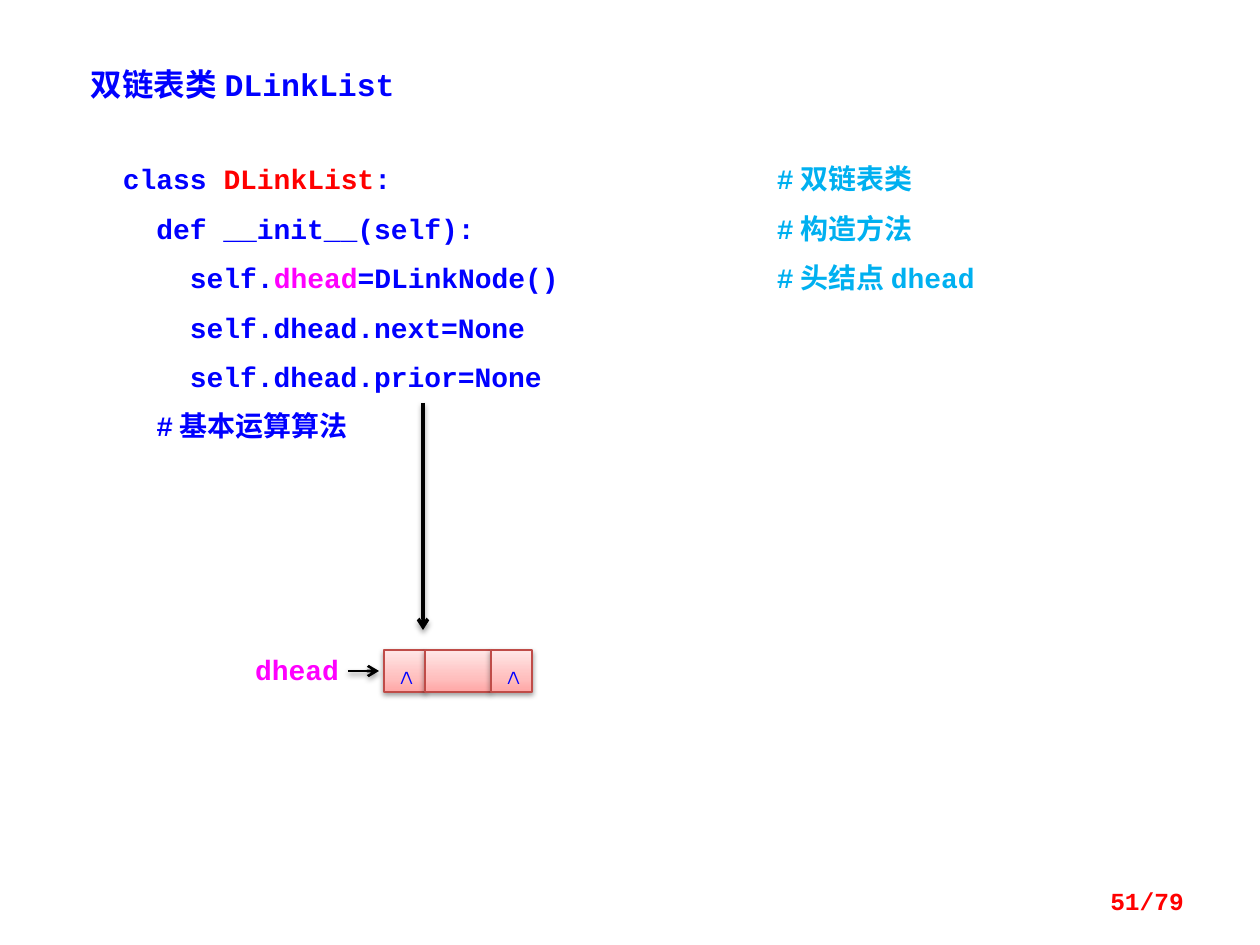
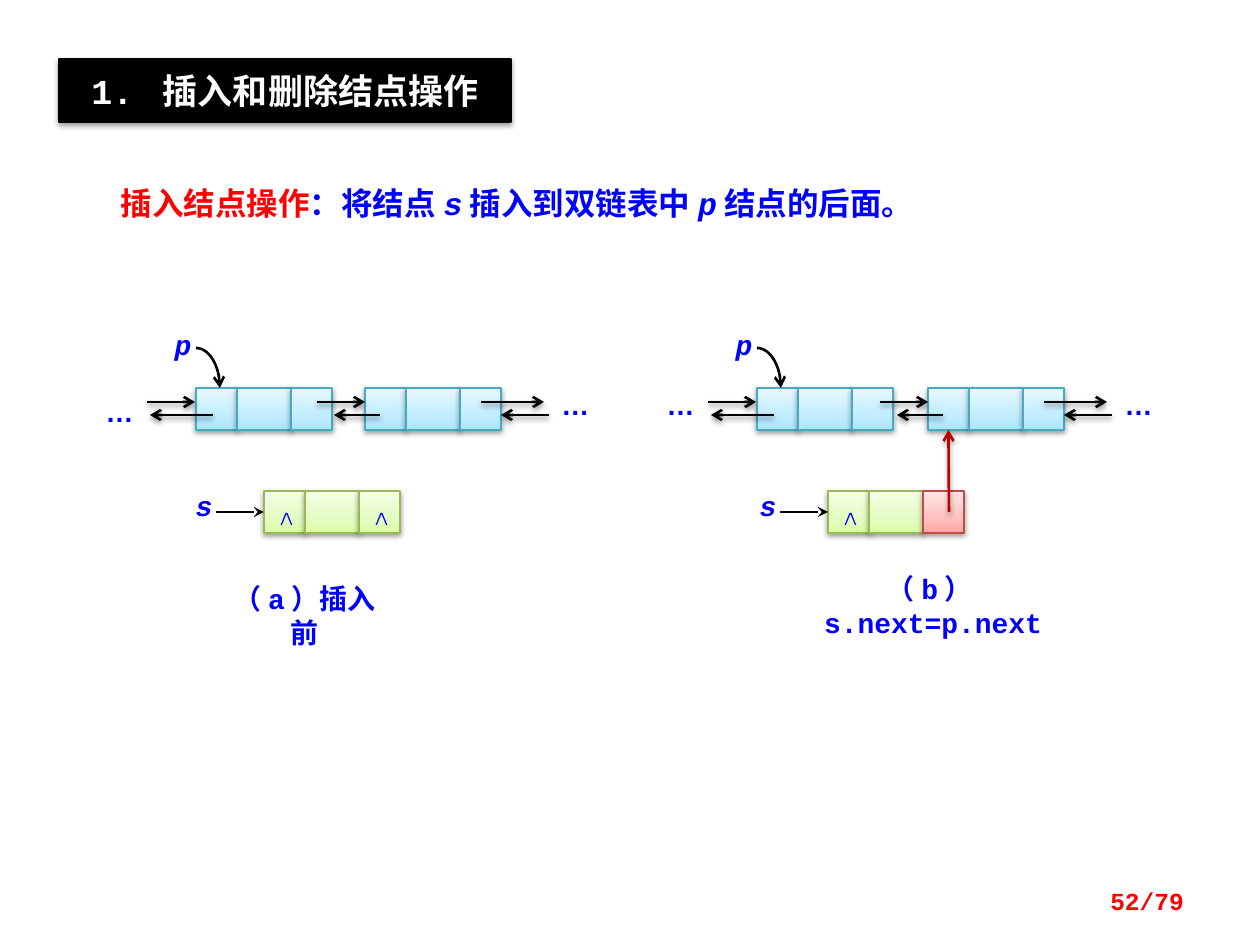
from copy import deepcopy

from lxml.etree import SubElement
from pptx import Presentation
from pptx.dml.color import RGBColor
from pptx.enum.shapes import MSO_CONNECTOR, MSO_SHAPE
from pptx.enum.text import MSO_ANCHOR, MSO_AUTO_SIZE, PP_ALIGN
from pptx.oxml.ns import qn
from pptx.util import Emu, Pt

PX = 914400 / 126
PAGE_WIDTH, PAGE_HEIGHT = 1260, 945
TITLE_ONLY = 5

BLACK = RGBColor(0x00, 0x00, 0x00)
WHITE = RGBColor(0xFF, 0xFF, 0xFF)
BLUE = RGBColor(0x00, 0x00, 0xFF)
RED = RGBColor(0xFF, 0x00, 0x00)
DARK_RED = RGBColor(0xC0, 0x00, 0x00)
MAGENTA = RGBColor(0xFF, 0x00, 0xFF)
SKY = RGBColor(0x00, 0xB0, 0xF0)

# Each node style: line colour, then gradient colours from bottom to top
PINK_NODE = (RGBColor(0xBF, 0x4C, 0x48), RGBColor(0xFF, 0xA6, 0xA5),
             RGBColor(0xFF, 0xC0, 0xBF), RGBColor(0xFF, 0xE7, 0xE7))
CYAN_NODE = (RGBColor(0x46, 0xAA, 0xC5), RGBColor(0xA7, 0xE6, 0xFF),
             RGBColor(0xC1, 0xED, 0xFF), RGBColor(0xE7, 0xF8, 0xFF))
GREEN_NODE = (RGBColor(0x98, 0xB9, 0x55), RGBColor(0xDA, 0xFD, 0xA7),
              RGBColor(0xE4, 0xFC, 0xC2), RGBColor(0xF5, 0xFF, 0xE7))
GRADIENT_STOPS = (0, 0.35, 1)

CODE_FONT = "Courier New"
NULL = "∧"
CELL = 41


def px(length):
    return Emu(round(length * PX))


def write_span(para, text, *, size=16, color=BLUE, bold=True, italic=False, font=CODE_FONT):
    span = para.add_run()
    span.text = text
    span.font.name = font
    span.font.size = Pt(size)
    span.font.bold = bold
    span.font.italic = italic
    span.font.color.rgb = color


def set_shadow(shape, shown=True):
    """Replace the theme shadow by a soft one below the shape, or by none."""
    properties = shape.element.spPr
    for old in properties.findall(qn("a:effectLst")):
        properties.remove(old)
    effects = SubElement(properties, qn("a:effectLst"))
    if shown:
        shadow = SubElement(effects, qn("a:outerShdw"), blurRad=str(Pt(3.1)),
                            dist=str(Pt(1.6)), dir="5400000", rotWithShape="0")
        color = SubElement(shadow, qn("a:srgbClr"), val=str(BLACK))
        SubElement(color, qn("a:alpha"), val="38000")


def set_stroke(shape, color, width, head=None):
    shape.line.color.rgb = color
    shape.line.width = Pt(width)
    if head:
        SubElement(shape.element.spPr.find(qn("a:ln")), qn("a:tailEnd"), type=head)


def fill_gradient(shape, colors):
    shape.fill.gradient()
    shape.fill.gradient_angle = 90
    stop_list = shape.element.spPr.find(".//" + qn("a:gsLst"))
    stop_list.insert(1, deepcopy(stop_list[0]))
    for stop, color, position in zip(shape.fill.gradient_stops, colors, GRADIENT_STOPS):
        stop.color.rgb = color
        stop.position = position


def set_frame(frame, insets, anchor=MSO_ANCHOR.TOP):
    frame.word_wrap = True
    frame.auto_size = MSO_AUTO_SIZE.NONE
    frame.vertical_anchor = anchor
    (frame.margin_left, frame.margin_top,
     frame.margin_right, frame.margin_bottom) = [px(inset) for inset in insets]


class Deck:
    def __init__(self):
        self.deck = Presentation()
        self.deck.slide_width = px(PAGE_WIDTH)
        self.deck.slide_height = px(PAGE_HEIGHT)
        self.page = None

    def add_page(self, number):
        self.page = self.deck.slides.add_slide(self.deck.slide_layouts[TITLE_ONLY])
        self.text(903, 876, 294, 50, [[(number, {"color": RED, "size": 14})]],
                  insets=(13, 6, 13, 6), align=PP_ALIGN.RIGHT, anchor=MSO_ANCHOR.MIDDLE)

    def title(self, left, top, width, height, text, *, size, color=BLUE,
              band=None, align=PP_ALIGN.LEFT):
        box = self.page.shapes.title
        box.left, box.top, box.width, box.height = map(px, (left, top, width, height))
        set_frame(box.text_frame, (13, 6, 13, 6),
                  MSO_ANCHOR.MIDDLE if band is not None else MSO_ANCHOR.TOP)
        para = box.text_frame.paragraphs[0]
        para.alignment = align
        write_span(para, text, size=size, color=color)
        if band is not None:
            box.fill.solid()
            box.fill.fore_color.rgb = band
            set_stroke(box, band, 0.75)
            set_shadow(box)

    def text(self, left, top, width, height, lines, *, insets=(0, 0, 0, 0),
             align=PP_ALIGN.LEFT, anchor=MSO_ANCHOR.TOP, gap=0, tab=None):
        """Each line is a list of (text, format) pairs."""
        box = self.page.shapes.add_textbox(*map(px, (left, top, width, height)))
        frame = box.text_frame
        set_frame(frame, insets, anchor)
        for index, line in enumerate(lines):
            para = frame.add_paragraph() if index else frame.paragraphs[0]
            para.alignment = align
            if index:
                para.space_before = Pt(gap)
            if tab:
                tabs = SubElement(para._p.get_or_add_pPr(), qn("a:tabLst"))
                SubElement(tabs, qn("a:tab"), pos=str(px(tab)), algn="l")
            for words, style in line:
                write_span(para, words, **style)

    def label(self, left, top, width, height, text, **style):
        self.text(left, top, width, height, [[(text, style)]], align=PP_ALIGN.CENTER)

    def cell(self, left, top, width, height, style, text=""):
        box = self.page.shapes.add_shape(MSO_SHAPE.RECTANGLE,
                                         *map(px, (left, top, width, height)))
        line_color, *colors = style
        fill_gradient(box, colors)
        set_stroke(box, line_color, 0.75)
        set_shadow(box)
        if text:
            set_frame(box.text_frame, (4, 0, 0, 0))
            para = box.text_frame.paragraphs[0]
            para.alignment = PP_ALIGN.CENTER
            para.line_spacing = Pt(23)
            write_span(para, text)
        return box

    def node(self, left, top, styles, texts=("", "", ""), middle=54):
        """Draw the prior, data and next cells of a list node side by side."""
        cells = []
        for width, style, text in zip((CELL, middle, CELL), styles, texts):
            cells.append(self.cell(left, top, width, 42, style, text))
            left += width
        return cells

    def arrow(self, start, end, *, color=BLACK, width=1.5, head="arrow",
              shadow=True, target=None, side=None):
        line = self.page.shapes.add_connector(MSO_CONNECTOR.STRAIGHT,
                                              *map(px, (*start, *end)))
        set_stroke(line, color, width, head)
        set_shadow(line, shadow)
        if target is not None:
            line.end_connect(target, side)

    def quarter_arrow(self, left, top, width, height, steps=16):
        """Curve that leaves to the right and ends pointing down."""
        points = []
        for step in range(steps + 1):
            t = step / steps
            x = 3 * 0.55 * t * (1 - t) ** 2 + 3 * t ** 2 * (1 - t) + t ** 3
            y = 3 * 0.45 * t ** 2 * (1 - t) + t ** 3
            points.append((px(left + width * x), px(top + height * y)))
        builder = self.page.shapes.build_freeform(*points[0])
        builder.add_line_segments(points[1:], close=False)
        curve = builder.convert_to_shape()
        curve.fill.background()
        set_stroke(curve, BLACK, 1.5, "arrow")
        set_shadow(curve, False)

    def linked_nodes(self, first, second, dots_top):
        """Draw nodes p and its successor, and return the successor's cells."""
        top, forward, back = 388, 402, 415
        self.node(first, top, [CYAN_NODE] * 3)
        successor = self.node(second, top, [CYAN_NODE] * 3)
        links = ((first - 49, first - 1, first + 17, first - 46),
                 (second - 48, second, second + 15, second - 31),
                 (second + 116, second + 179, second + 184, second + 136))
        for forward_start, forward_end, back_start, back_end in links:
            self.arrow((forward_start, forward), (forward_end, forward))
            self.arrow((back_start, back), (back_end, back))
        self.label(first - 108, dots_top, 63, 42, "…", font="Arial")
        self.label(second + 179, 388, 63, 42, "…", font="Arial")
        self.label(first - 26, 328, 26, 34, "p", italic=True)
        self.quarter_arrow(first, 348, 24, 40)
        return successor

    def inserted_node(self, left, styles, texts):
        cells = self.node(left, 491, styles, texts)
        self.label(left - 73, 489, 26, 34, "s", italic=True)
        self.arrow((left - 48, 512), (left, 512), width=0.75, head="stealth",
                   shadow=False, target=cells[0], side=1)


def build_class_page(deck):
    deck.add_page("51/79")
    deck.title(78, 59, 610, 50, "双链表类DLinkList", size=18)
    comment = {"color": SKY}
    code = [
        [("class ", {}), ("DLinkList", {"color": RED}), (":\t", {}), ("#双链表类", comment)],
        [("  def __init__(self):\t", {}), ("#构造方法", comment)],
        [("    self.", {}), ("dhead", {"color": MAGENTA}), ("=DLinkNode()\t", {}),
         ("#头结点dhead", comment)],
        [("    self.dhead.next=None", {})],
        [("    self.dhead.prior=None", {})],
        [("  #基本运算算法", {})],
    ]
    deck.text(98, 147, 955, 319, code, insets=(25, 15, 13, 15), gap=9, tab=654)
    deck.arrow((423, 403), (423, 630), width=2)
    deck.node(384, 650, [PINK_NODE] * 3, (NULL, "", NULL), middle=66)
    deck.label(246, 653, 102, 42, "dhead", color=MAGENTA)
    deck.arrow((348, 671), (379, 671))


def build_insert_page(deck):
    deck.add_page("52/79")
    deck.title(59, 59, 452, 63, "1. 插入和删除结点操作", size=20, color=WHITE,
               band=BLACK, align=PP_ALIGN.CENTER)
    big, variable = {"size": 18}, {"size": 18, "italic": True}
    deck.text(108, 178, 876, 50, [[
        ("插入结点操作", {"size": 18, "color": RED}), ("：将结点", big), ("s", variable),
        ("插入到双链表中", big), ("p", variable), ("结点的后面。", big),
    ]], insets=(13, 6, 13, 6))

    deck.linked_nodes(196, 365, 394)
    deck.inserted_node(264, [GREEN_NODE] * 3, (NULL, "", NULL))
    deck.label(226, 582, 157, 42, "（a）插入前")

    successor = deck.linked_nodes(757, 928, 388)
    deck.inserted_node(828, (GREEN_NODE, GREEN_NODE, PINK_NODE), (NULL, "", ""))
    deck.label(780, 572, 306, 42, "（b）s.next=p.next")
    deck.arrow((949, 512), (949, 430), color=DARK_RED, target=successor[0], side=2)


def main():
    deck = Deck()
    build_class_page(deck)
    build_insert_page(deck)
    deck.deck.save("out.pptx")


if __name__ == "__main__":
    main()
